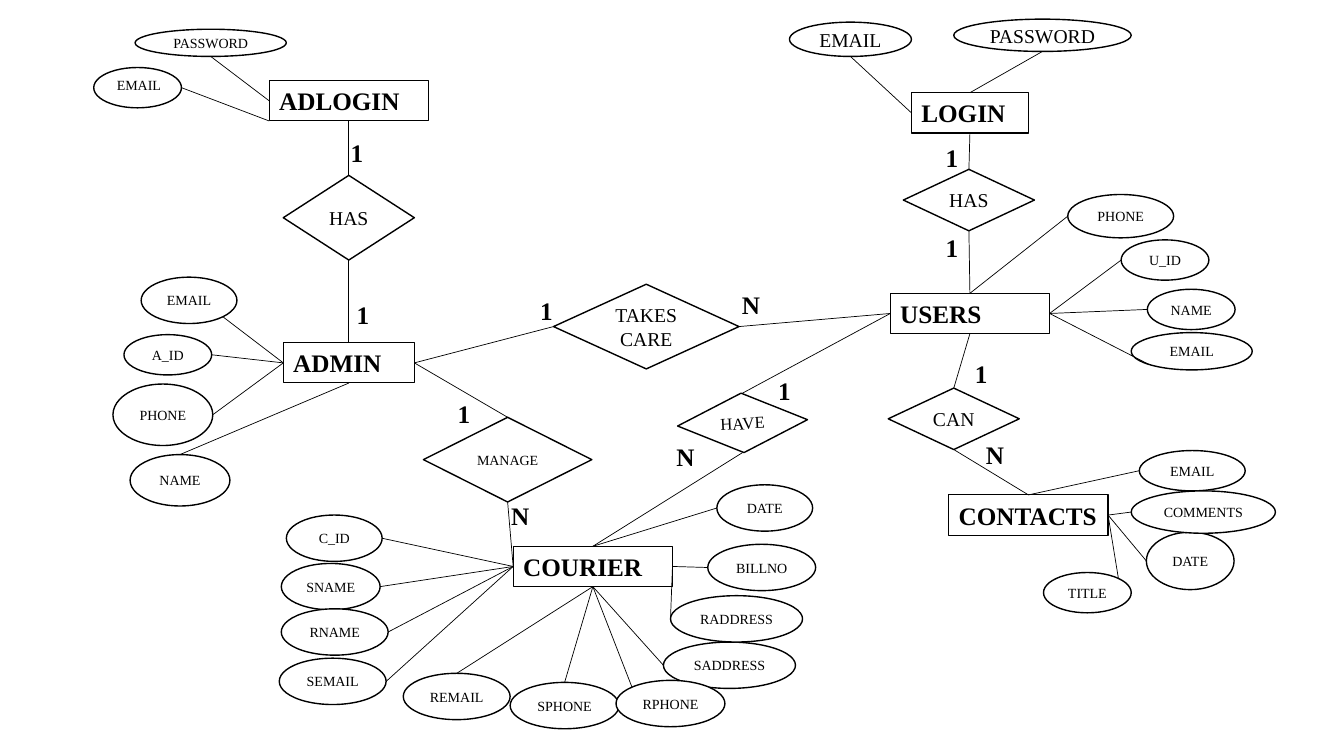
"""Build a one-slide entity-relationship diagram of a courier system."""
import math
from dataclasses import dataclass

from lxml import etree
from pptx import Presentation
from pptx import util as u
from pptx.dml.color import RGBColor
from pptx.enum import shapes, text
from pptx.oxml import ns

TOP, LEFT, BOTTOM, RIGHT = range(4)
E_TOP, E_TOP_LEFT, E_LEFT, E_LOW_LEFT, E_BOTTOM, E_LOW_RIGHT, E_RIGHT, E_TOP_RIGHT = range(8)


@dataclass(frozen=True)
class Theme:
    font: str = "Times New Roman"
    ink: RGBColor = RGBColor(0, 0, 0)
    paper: RGBColor = RGBColor(255, 255, 255)
    title: int = 18
    large: int = 14
    medium: int = 12
    small: int = 10
    entity_line: float = 0.75
    shape_line: float = 1
    link_line: float = 0.5


class Diagram:
    def __init__(self, slide, theme):
        self.s, self.t = slide, theme

    def set_text(self, sp, words, size, bold=False, align=text.PP_ALIGN.LEFT):
        p = sp.text_frame.paragraphs[0]
        p.text, p.alignment = words, align
        p.font.name, p.font.size, p.font.bold = self.t.font, u.Pt(size), bold
        p.font.color.rgb = self.t.ink

    def shape(self, kind, box, line):
        sp = self.s.shapes.add_shape(kind, *map(u.Inches, box))
        sp.shadow.inherit = False
        sp.fill.solid()
        sp.fill.fore_color.rgb = self.t.paper
        sp.line.color.rgb, sp.line.width = self.t.ink, u.Pt(line)
        return sp

    def entity(self, name, x, y, w):
        sp = self.shape(shapes.MSO_SHAPE.RECTANGLE, (x, y, w, 0.4), self.t.entity_line)
        sp.text_frame.vertical_anchor = text.MSO_ANCHOR.TOP
        sp.text_frame.auto_size = text.MSO_AUTO_SIZE.SHAPE_TO_FIT_TEXT
        self.set_text(sp, name, self.t.title, bold=True)
        return sp

    def centred(self, kind, words, box, size):
        sp = self.shape(kind, box, self.t.shape_line)
        sp.text_frame.vertical_anchor = text.MSO_ANCHOR.MIDDLE
        if words:
            self.set_text(sp, words, size, align=text.PP_ALIGN.CENTER)
        return sp

    def relation(self, words, box, size, ends, rotation=0):
        sp = self.centred(shapes.MSO_SHAPE.DIAMOND, words, box, size)
        sp.rotation = rotation
        for site, entity, entity_site in ends:
            link = self.link((0, 0), (0, 0))
            link.begin_connect(sp, site)
            link.end_connect(entity, entity_site)

    def attribute(self, words, box, size):
        return self.centred(shapes.MSO_SHAPE.OVAL, words, box, size)

    def attach(self, oval, site, entity, entity_site):
        link = self.link(rim(oval, site), (0, 0))
        link.end_connect(entity, entity_site)

    def link(self, start, end):
        c = self.s.shapes.add_connector(shapes.MSO_CONNECTOR.STRAIGHT, *start, *end)
        c.line.color.rgb, c.line.width = self.t.ink, u.Pt(self.t.link_line)
        etree.SubElement(c._element.spPr, ns.qn("a:effectLst"))
        return c

    def label(self, words, box, size, bold=False):
        sp = self.s.shapes.add_textbox(*map(u.Inches, box))
        sp.text_frame.word_wrap = False
        sp.text_frame.auto_size = text.MSO_AUTO_SIZE.SHAPE_TO_FIT_TEXT
        self.set_text(sp, words, size, bold)

    def cardinality(self, words, x, y):
        self.label(words, (x, y, 0.38 if words == "N" else 0.33, 0.4), self.t.title, bold=True)


def rim(oval, site):
    angle = site * math.pi / 4
    return (round(oval.left + oval.width / 2 * (1 - math.sin(angle))),
            round(oval.top + oval.height / 2 * (1 - math.cos(angle))))


prs = Presentation()
prs.slide_width, prs.slide_height = u.Inches(13.33), u.Inches(7.5)
theme = Theme()
d = Diagram(prs.slides.add_slide(prs.slide_layouts[6]), theme)

adlogin = d.entity("ADLOGIN", 2.67, 0.8, 1.58)
admin = d.entity("ADMIN", 2.81, 3.4, 1.3)
login = d.entity("LOGIN", 9.04, 0.92, 1.16)
users = d.entity("USERS", 8.83, 2.91, 1.58)
contacts = d.entity("CONTACTS", 9.41, 4.91, 1.58)
courier = d.entity("COURIER", 5.09, 5.42, 1.58)

S, L = theme.small, theme.large
attributes = [
    (adlogin, S, [("PASSWORD", (1.34, 0.29, 1.5, 0.27), E_BOTTOM, LEFT)]),
    (admin, S, [
        ("EMAIL", (1.4, 2.75, 0.95, 0.46), E_LOW_RIGHT, LEFT),
        ("A_ID", (1.23, 3.32, 0.87, 0.4), E_RIGHT, LEFT),
        ("PHONE", (1.12, 3.81, 0.99, 0.61), E_RIGHT, LEFT),
        ("NAME", (1.29, 4.51, 0.99, 0.51), E_TOP, BOTTOM)]),
    (login, L, [
        ("EMAIL", (7.83, 0.22, 1.21, 0.34), E_BOTTOM, LEFT),
        ("PASSWORD", (9.46, 0.19, 1.76, 0.32), E_BOTTOM, TOP)]),
    (users, S, [
        ("PHONE", (10.59, 1.93, 1.05, 0.43), E_LEFT, TOP),
        ("U_ID", (11.12, 2.38, 0.87, 0.4), E_LEFT, RIGHT),
        ("NAME", (11.38, 2.87, 0.87, 0.4), E_LEFT, RIGHT),
        ("EMAIL", (11.22, 3.3, 1.2, 0.37), E_LOW_LEFT, RIGHT)]),
    (contacts, S, [
        ("EMAIL", (11.3, 4.47, 1.05, 0.4), E_LEFT, TOP),
        ("TITLE", (10.35, 5.68, 0.87, 0.4), E_TOP_RIGHT, RIGHT),
        ("DATE", (11.37, 5.28, 0.87, 0.57), E_LEFT, RIGHT),
        ("COMMENTS", (11.22, 4.87, 1.43, 0.42), E_LEFT, RIGHT)]),
    (courier, S, [
        ("C_ID", (2.84, 5.11, 0.95, 0.46), E_RIGHT, LEFT),
        ("SNAME", (2.79, 5.59, 0.98, 0.46), E_RIGHT, LEFT),
        ("RNAME", (2.79, 6.04, 1.06, 0.46), E_RIGHT, LEFT),
        ("SEMAIL", (2.77, 6.53, 1.06, 0.46), E_RIGHT, LEFT),
        ("REMAIL", (4, 6.68, 1.06, 0.46), E_TOP, BOTTOM),
        ("DATE", (7.11, 4.81, 0.95, 0.46), E_LEFT, TOP),
        ("BILLNO", (7.02, 5.4, 1.07, 0.46), E_LEFT, RIGHT),
        ("SADDRESS", (6.58, 6.37, 1.31, 0.46), E_LEFT, BOTTOM),
        ("RADDRESS", (6.65, 5.91, 1.31, 0.46), E_LEFT, RIGHT),
        ("SPHONE", (5.06, 6.77, 1.08, 0.46), E_TOP, BOTTOM),
        ("RPHONE", (6.11, 6.75, 1.08, 0.46), E_TOP_LEFT, BOTTOM)]),
]
for entity, size, items in attributes:
    for words, box, site, entity_site in items:
        d.attach(d.attribute(words, box, size), site, entity, entity_site)

adlogin_email = d.attribute("", (0.93, 0.67, 0.87, 0.4), S)
d.label("EMAIL", (1.06, 0.71, 0.65, 0.27), S)
d.link(rim(adlogin_email, E_RIGHT), (adlogin.left, adlogin.top + adlogin.height))

d.relation("HAS", (2.81, 1.74, 1.3, 0.84), L,
           [(TOP, adlogin, BOTTOM), (BOTTOM, admin, TOP)])
d.relation("HAS", (8.96, 1.68, 1.3, 0.61), L,
           [(TOP, login, BOTTOM), (BOTTOM, users, TOP)])
d.relation("CAN", (8.81, 3.85, 1.3, 0.61), L,
           [(TOP, users, BOTTOM), (BOTTOM, contacts, TOP)])
d.relation("MANAGE", (4.2, 4.14, 1.67, 0.84), S,
           [(TOP, admin, RIGHT), (BOTTOM, courier, LEFT)])
d.relation("HAVE", (6.72, 3.9, 1.29, 0.59), theme.medium,
           [(TOP, users, LEFT), (BOTTOM, courier, TOP)], rotation=357.2)
d.relation("TAKES CARE", (5.49, 2.82, 1.84, 0.84), L,
           [(LEFT, admin, RIGHT), (RIGHT, users, LEFT)])

cardinalities = {
    "1": [(3.38, 1.31), (3.44, 2.92), (9.28, 1.36), (9.28, 2.26),
          (4.44, 3.9), (9.57, 3.51), (7.62, 3.67), (5.26, 2.88)],
    "N": [(7.26, 2.82), (4.97, 4.91), (9.68, 4.31), (6.61, 4.33)],
}
for words, places in cardinalities.items():
    for x, y in places:
        d.cardinality(words, x, y)

prs.save("out.pptx")
